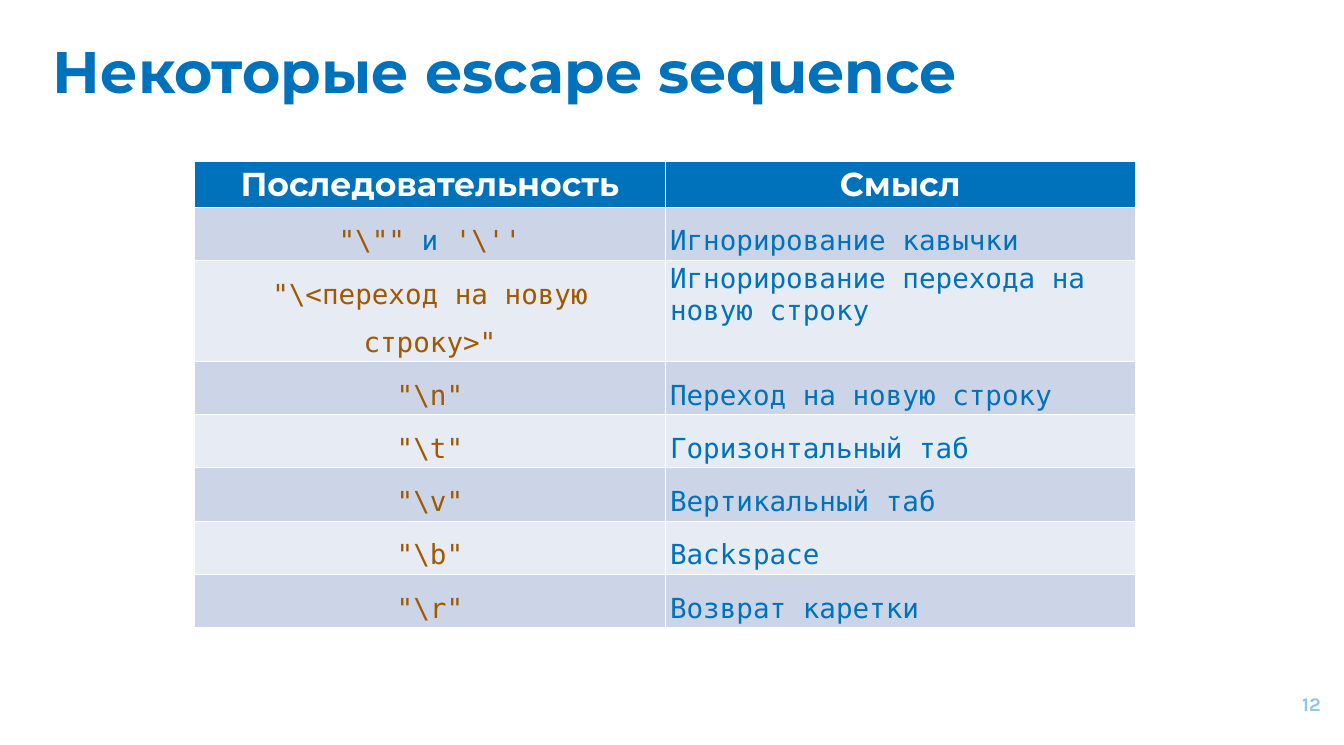
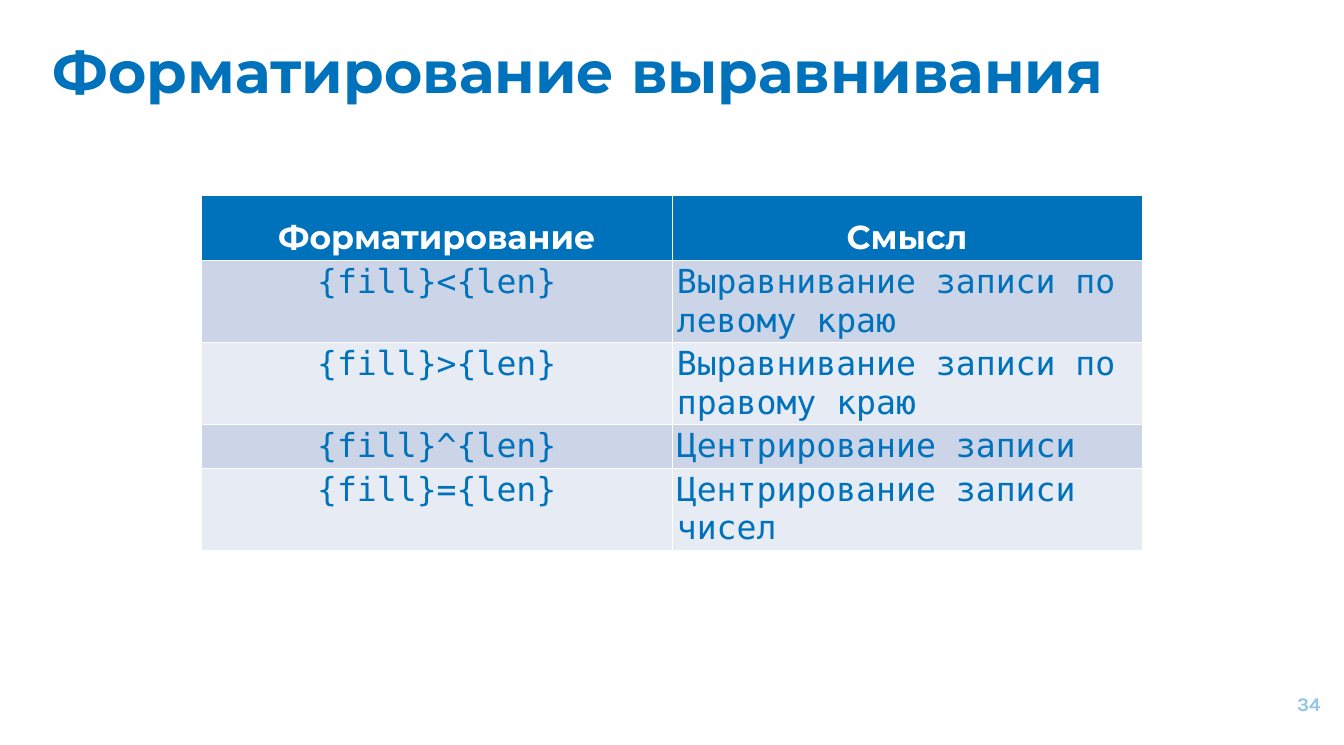
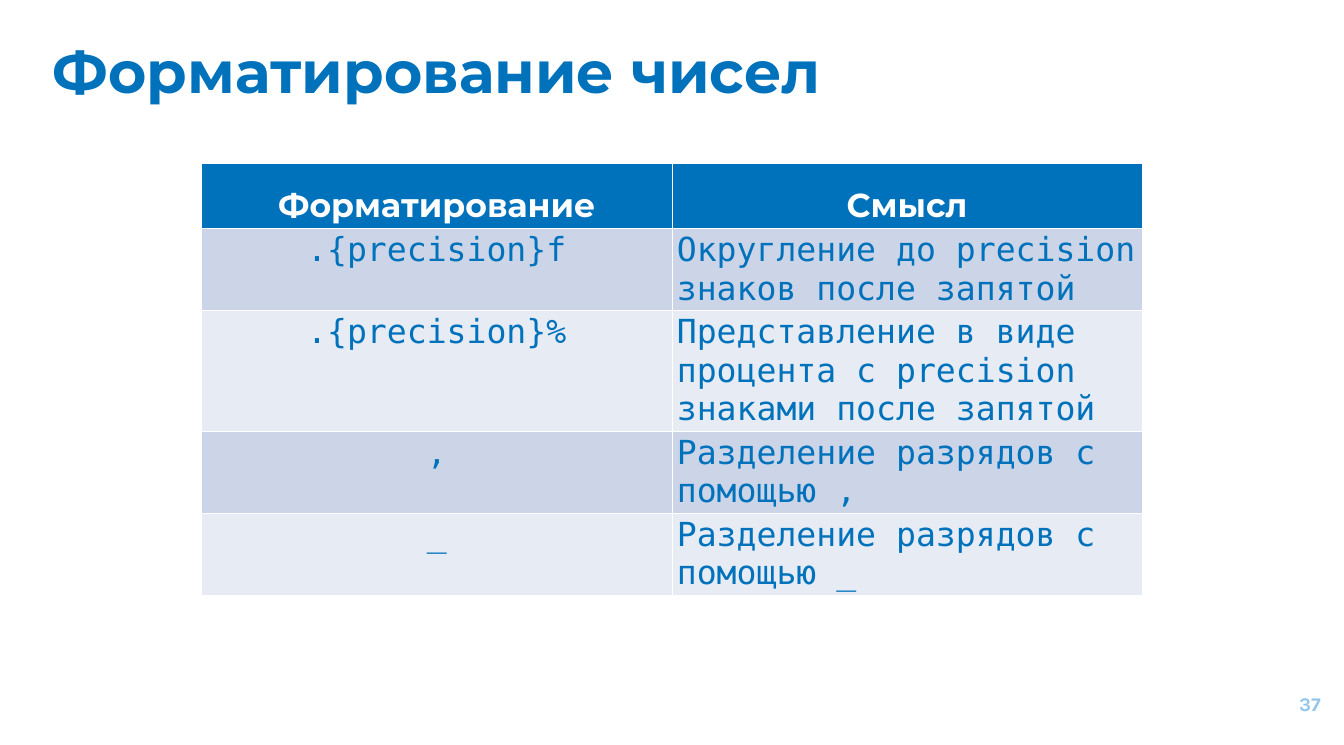
from dataclasses import dataclass

import pptx
import pptx.dml.color
import pptx.enum.text
import pptx.util

Cm = pptx.util.Cm
Align = pptx.enum.text.PP_ALIGN
Anchor = pptx.enum.text.MSO_ANCHOR


@dataclass(frozen=True)
class Theme:
    blue: str = "0072BC"
    brown: str = "A05900"
    white: str = "FFFFFF"
    pale_blue: str = "92C5EB"
    bands: tuple = ("CCD5E7", "E7EBF3")
    heading_font: str = "Montserrat"
    code_font: str = "DejaVu Sans Mono"
    number_font: str = "Karla"
    title_size: int = 85
    table_size: int = 48
    small_table_size: int = 40
    number_size: int = 28


class Deck:
    def __init__(self, theme):
        self.theme = theme
        self.presentation = pptx.Presentation()
        self.presentation.slide_width = Cm(68.73)
        self.presentation.slide_height = Cm(38.1)
        self.slide = None

    def style(self, font, name, size, color, bold=False):
        font.name = name
        font.size = pptx.util.Pt(size)
        font.bold = bold
        self.paint(font, color)

    def paint(self, font, color):
        font.color.rgb = pptx.dml.color.RGBColor.from_string(color)

    def frame(self, shape, anchor):
        text_frame = shape.text_frame
        text_frame.word_wrap = True
        text_frame.auto_size = pptx.enum.text.MSO_AUTO_SIZE.NONE
        text_frame.vertical_anchor = anchor
        text_frame.margin_left = text_frame.margin_right = Cm(0.25)
        text_frame.margin_top = text_frame.margin_bottom = Cm(0.25)
        return text_frame.paragraphs[0]

    def add_slide(self, title, number, title_width=60.78):
        layout = self.presentation.slide_layouts[5]
        self.slide = self.presentation.slides.add_slide(layout)
        self.add_title(title, title_width)
        self.add_number(number)

    def add_title(self, text, width):
        shape = self.slide.shapes.title
        shape.left, shape.top = Cm(2.44), Cm(1.55)
        shape.width, shape.height = Cm(width), Cm(4.88)
        paragraph = self.frame(shape, Anchor.TOP)
        paragraph.text = text
        paragraph.alignment = Align.LEFT
        self.style(paragraph.font, self.theme.heading_font,
                   self.theme.title_size, self.theme.blue, True)

    def add_number(self, number):
        shape = self.slide.shapes.add_textbox(
            Cm(63.68), Cm(34.54), Cm(4.11), Cm(2.92))
        paragraph = self.frame(shape, Anchor.MIDDLE)
        paragraph.text = str(number)
        paragraph.alignment = Align.RIGHT
        self.style(paragraph.font, self.theme.number_font,
                   self.theme.number_size, self.theme.pale_blue, True)

    def fill_cell(self, cell, content, fill, alignment, spacing):
        cell.fill.solid()
        cell.fill.fore_color.rgb = pptx.dml.color.RGBColor.from_string(fill)
        paragraph = cell.text_frame.paragraphs[0]
        paragraph.alignment = alignment
        if spacing:
            paragraph.line_spacing = spacing
        if isinstance(content, str):
            paragraph.text = content
        else:
            for text, color in content:
                run = paragraph.add_run()
                run.text = text
                self.paint(run.font, color)
        return paragraph.font

    def add_table(self, left, top, height, header, rows, body_size,
                  code_color, header_spacing=None, body_spacing=None,
                  single_spaced=()):
        theme = self.theme
        row_height = Cm(1.07)
        shape = self.slide.shapes.add_table(
            len(rows) + 1, len(header), Cm(left), Cm(top),
            Cm(48.1), row_height * (len(rows) + 1))
        table = shape.table
        for column, text in enumerate(header):
            font = self.fill_cell(table.cell(0, column), text, theme.blue,
                                  Align.CENTER, header_spacing)
            self.style(font, theme.heading_font, theme.table_size,
                       theme.white, True)
        columns = ((Align.CENTER, code_color), (Align.LEFT, theme.blue))
        for index, row in enumerate(rows):
            fill = theme.bands[index % 2]
            for column, (alignment, color) in enumerate(columns):
                content = row[column]
                spacing = None if content in single_spaced else body_spacing
                font = self.fill_cell(table.cell(index + 1, column), content,
                                      fill, alignment, spacing)
                self.style(font, theme.code_font, body_size, color)
        shape.height = Cm(height)

    def add_format_table(self, top, height, rows):
        self.add_table(10.31, top, height, ("Форматирование", "Смысл"), rows,
                       self.theme.table_size, self.theme.blue,
                       header_spacing=1.5)


def main():
    theme = Theme()
    deck = Deck(theme)

    deck.add_slide("Некоторые escape sequence", 12, title_width=54.53)
    line_skip = "Игнорирование перехода на новую строку"
    quotes = ((r'"\"" ', theme.brown), ("и ", theme.blue),
              (r"'\''", theme.brown))
    deck.add_table(9.96, 8.26, 21, ("Последовательность", "Смысл"), (
        (quotes, "Игнорирование кавычки"),
        (r'"\<переход на новую строку>"', line_skip),
        (r'"\n"', "Переход на новую строку"),
        (r'"\t"', "Горизонтальный таб"),
        (r'"\v"', "Вертикальный таб"),
        (r'"\b"', "Backspace"),
        (r'"\r"', "Возврат каретки"),
    ), theme.small_table_size, theme.brown, body_spacing=1.5,
        single_spaced=(line_skip,))

    deck.add_slide("Форматирование выравнивания", 34)
    deck.add_format_table(9.98, 18.54, (
        ("{fill}<{len}", "Выравнивание записи по левому краю"),
        ("{fill}>{len}", "Выравнивание записи по правому краю"),
        ("{fill}^{len}", "Центрирование записи"),
        ("{fill}={len}", "Центрирование записи чисел"),
    ))

    deck.add_slide("Форматирование чисел", 37)
    deck.add_format_table(8.33, 22.6, (
        (".{precision}f", "Округление до precision знаков после запятой"),
        (".{precision}%",
         "Представление в виде процента с precision знаками после запятой"),
        (",", "Разделение разрядов с помощью ,"),
        ("_", "Разделение разрядов с помощью _"),
    ))

    deck.presentation.save("out.pptx")


if __name__ == "__main__":
    main()
